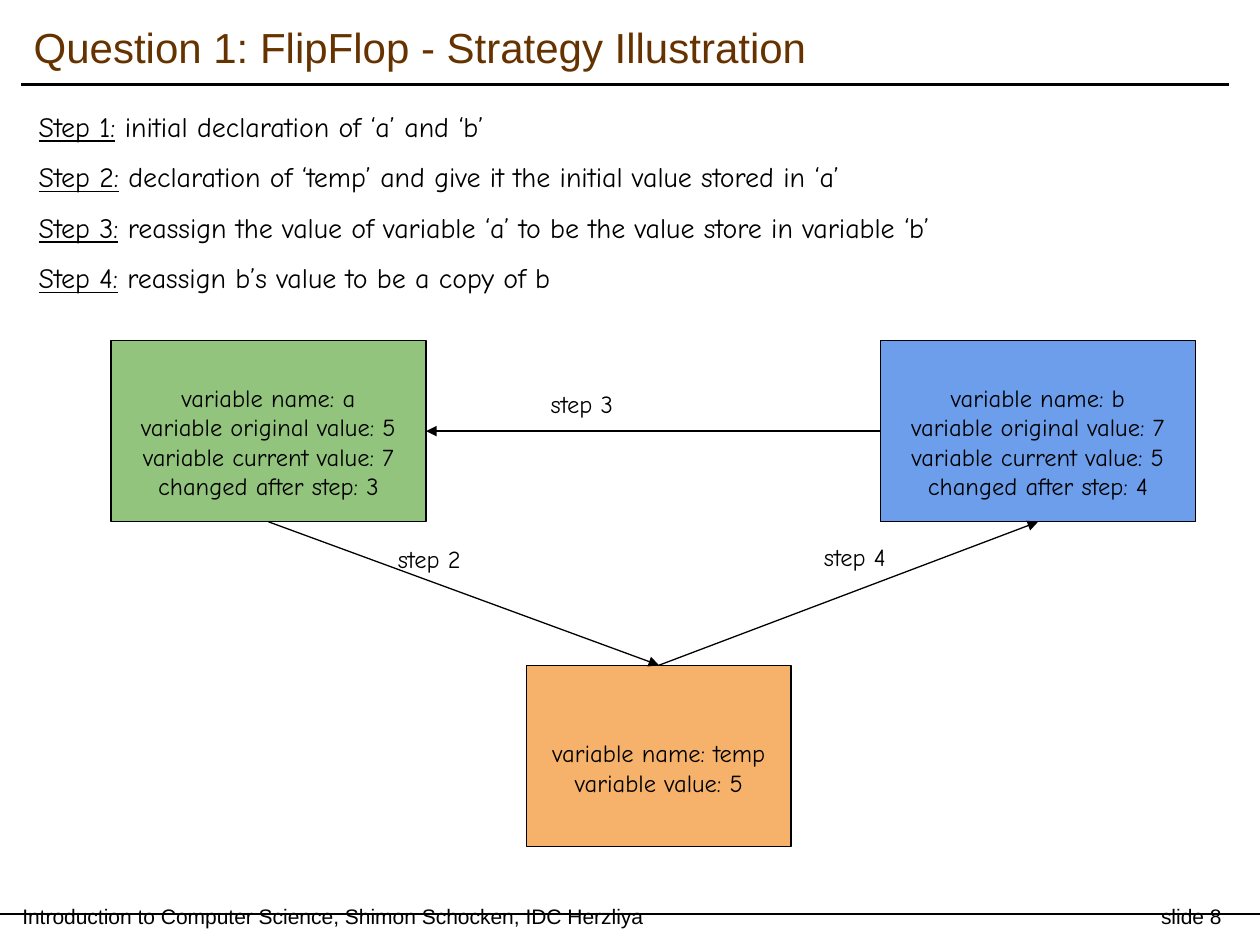
from lxml.etree import SubElement
from pptx import Presentation
from pptx.dml.color import RGBColor
from pptx.enum.shapes import MSO_CONNECTOR as Connector, MSO_SHAPE as Shape
from pptx.enum.text import MSO_ANCHOR as Anchor, PP_ALIGN as Align
from pptx.oxml.ns import qn
from pptx.util import Cm, Pt

COLOURS = {"black": "000000", "title": "663300", "a": "93C47D", "b": "6D9EEB", "temp": "F6B26B"}
BODY_FONT, FRAME_FONT = "Comic Neue", "Arial"
TITLE = "Question 1: FlipFlop - Strategy Illustration"
FOOTER = "Introduction to Computer Science, Shimon Schocken, IDC Herzliya\tslide 8"
FOOTER_TAB = 24.18
STEPS = [
    ("Step 1:", " initial declaration of ‘a’ and ‘b’"),
    ("Step 2:", " declaration of ‘temp’ and give it the initial value stored in ‘a’"),
    ("Step 3:", " reassign the value of variable ‘a’ to be the value store in variable ‘b’"),
    ("Step 4:", " reassign b’s value to be a copy of b"),
]
VARIABLES = {
    "a": ((2.24, 6.86, 6.35, 3.66), 0.86, [
        "variable name: a", "variable original value: 5",
        "variable current value: 7", "changed after step: 3"]),
    "b": ((17.75, 6.86, 6.35, 3.66), 0.86, [
        "variable name: b", "variable original value: 7",
        "variable current value: 5", "changed after step: 4"]),
    "temp": ((10.62, 13.41, 5.33, 3.66), 1.47, [
        "variable name: temp", "variable value: 5"]),
}
TOP, LEFT, BOTTOM, RIGHT = range(4)
ARROWS = [
    ("step 2", ("a", BOTTOM), ("temp", TOP), (7.77, 10.72)),
    ("step 3", ("b", LEFT), ("a", RIGHT), (10.85, 7.59)),
    ("step 4", ("temp", TOP), ("b", BOTTOM), (16.36, 10.67)),
]
LABEL_SIZE = (4.85, 0.64)
RULES = [((0.43, 1.7), (24.77, 1.7), 2), ((0, 18.42), (25.4, 18.42), 1)]


def colour(name):
    return RGBColor.from_string(COLOURS[name])


def write(shape, paragraphs, font=BODY_FONT, size=14, ink="black", align=Align.LEFT,
          anchor=Anchor.TOP, inset=0.25, top=0.25, space=0, tab=None):
    frame = shape.text_frame
    frame.word_wrap = True
    frame.vertical_anchor = anchor
    frame.margin_left = frame.margin_right = Cm(0.25)
    frame.margin_top, frame.margin_bottom = Cm(top), Cm(inset)
    for index, runs in enumerate(paragraphs):
        paragraph = frame.add_paragraph() if index else frame.paragraphs[0]
        paragraph.alignment = align
        if index and space:
            paragraph.space_before = Pt(space)
        if tab:
            tabs = SubElement(paragraph._p.get_or_add_pPr(), qn("a:tabLst"))
            SubElement(tabs, qn("a:tab"), pos=str(Cm(tab)), algn="r")
        parts = (runs,) if isinstance(runs, str) else runs
        for position, text in enumerate(parts):
            run = paragraph.add_run()
            run.text = text
            run.font.name, run.font.size = font, Pt(size)
            run.font.color.rgb = colour(ink)
            if len(parts) > 1:
                run.font.underline = position == 0


def add_text(slide, box, paragraphs, **style):
    write(slide.shapes.add_textbox(*map(Cm, box)), paragraphs, **style)


def add_line(slide, start, end, width):
    line = slide.shapes.add_connector(Connector.STRAIGHT, *map(Cm, start + end))
    line.line.color.rgb = colour("black")
    line.line.width = Pt(width)
    SubElement(line._element.spPr, qn("a:effectLst"))
    return line


def add_variable(slide, name, box, top, lines):
    shape = slide.shapes.add_shape(Shape.RECTANGLE, *map(Cm, box))
    shape.shadow.inherit = False
    shape.fill.solid()
    shape.fill.fore_color.rgb = colour(name)
    shape.line.color.rgb = colour("black")
    shape.line.width = Pt(0.75)
    write(shape, lines, align=Align.CENTER, top=top)
    return shape


def add_arrow(slide, boxes, label, source, target, place):
    arrow = add_line(slide, (0, 0), (1, 1), 0.75)
    arrow.begin_connect(boxes[source[0]], source[1])
    arrow.end_connect(boxes[target[0]], target[1])
    SubElement(arrow.line._get_or_add_ln(), qn("a:tailEnd"), type="triangle")
    add_text(slide, place + LABEL_SIZE, [label])


def main():
    presentation = Presentation()
    presentation.slide_width, presentation.slide_height = Cm(25.4), Cm(19.05)
    slide = presentation.slides.add_slide(presentation.slide_layouts[6])
    for rule in RULES:
        add_line(slide, *rule)
    frame_style = {"font": FRAME_FONT, "anchor": Anchor.MIDDLE, "inset": 0.13, "top": 0.13}
    add_text(slide, (0.2, 18.08, 25.2, 0.76), [FOOTER], size=12, tab=FOOTER_TAB, **frame_style)
    add_text(slide, (0.43, 0.2, 24.33, 1.47), [TITLE], size=24, ink="title", **frame_style)
    add_text(slide, (0.53, 1.96, 24.1, 4.27), STEPS, size=16, space=9.6)
    boxes = {name: add_variable(slide, name, *details) for name, details in VARIABLES.items()}
    for arrow in ARROWS:
        add_arrow(slide, boxes, *arrow)
    presentation.save("out.pptx")


if __name__ == "__main__":
    main()
